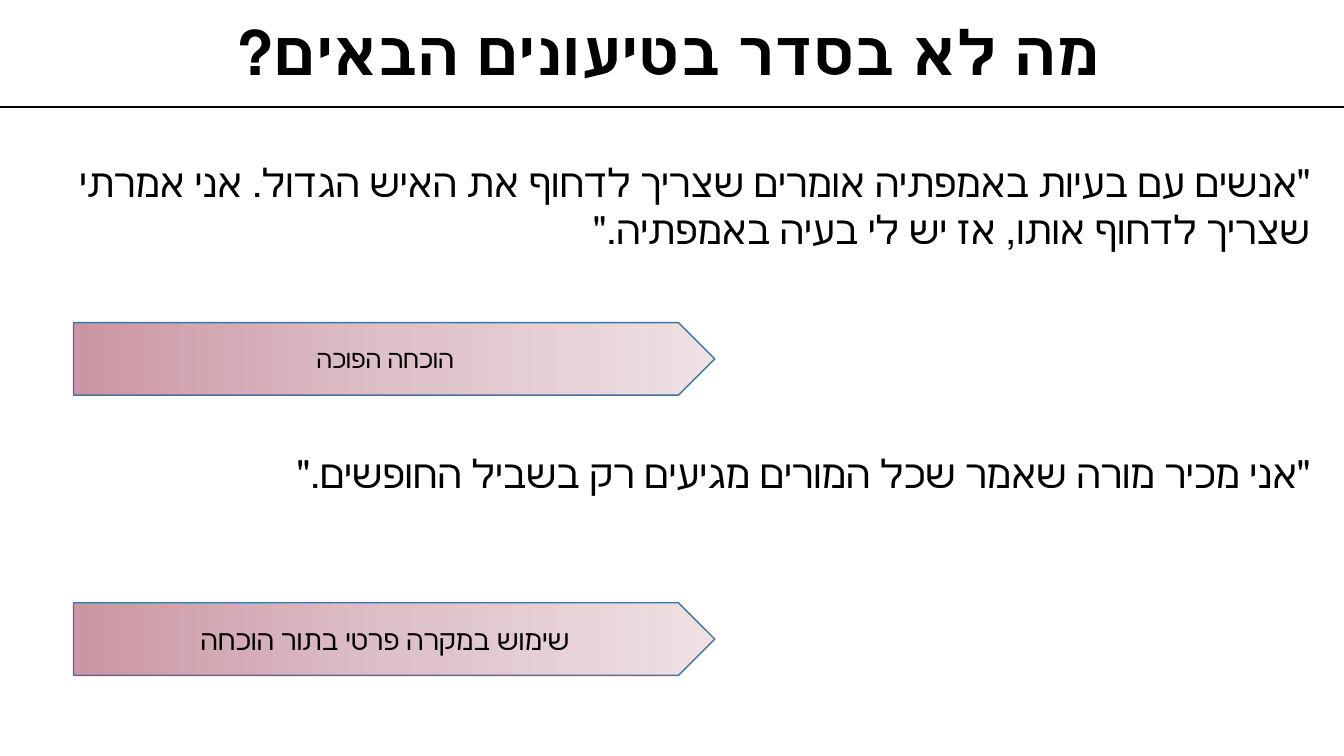
from copy import deepcopy

from lxml import etree
from pptx import Presentation
from pptx.dml.color import RGBColor
from pptx.enum.shapes import MSO_CONNECTOR, MSO_SHAPE
from pptx.enum.text import MSO_ANCHOR, PP_ALIGN
from pptx.oxml.ns import qn
from pptx.util import Inches, Pt

FONT = "Lato"
BLACK = "000000"
OUTLINE = "43739E"
FALLACY_GRADIENT = ("CB96A4", "DDC0C8", "EEE1E4")

TITLE = "מה לא בסדר בטיעונים הבאים?"
CLAIMS = [
    '"אנשים עם בעיות באמפתיה אומרים שצריך לדחוף את האיש הגדול. '
    'אני אמרתי שצריך לדחוף אותו, אז יש לי בעיה באמפתיה."',
    '"אני מכיר מורה שאמר שכל המורים מגיעים רק בשביל החופשים."',
]
CLAIM_GAP = 140.8
# name of the fallacy, top of its arrow, text size
FALLACIES = [
    ("הוכחה הפוכה", 3.2, 18),
    ("שימוש במקרה פרטי בתור הוכחה", 5.98, 20),
]


def color(hex_code):
    return RGBColor.from_string(hex_code)


def write(paragraph, wording, size, align, bold=False, rtl=False):
    paragraph.alignment = align
    if rtl:
        paragraph._p.get_or_add_pPr().set("rtl", "1")
    run = paragraph.add_run()
    run.text = wording
    run.font.name = FONT
    run.font.size = Pt(size)
    run.font.bold = bold
    run.font.color.rgb = color(BLACK)


def add_text_frame(slide, left, top, width, height, anchor):
    box = slide.shapes.add_textbox(
        Inches(left), Inches(top), Inches(width), Inches(height))
    frame = box.text_frame
    frame.word_wrap = True
    frame.vertical_anchor = anchor
    return frame


def add_title(slide):
    frame = add_text_frame(slide, 0, 0.04, 13.26, 1.02, MSO_ANCHOR.MIDDLE)
    heading = frame.paragraphs[0]
    heading.line_spacing = 0.9
    write(heading, TITLE, 44, PP_ALIGN.CENTER, bold=True, rtl=True)


def add_rule(slide):
    """Draw the line under the title, across the whole slide."""
    y = Inches(1.06)
    rule = slide.shapes.add_connector(
        MSO_CONNECTOR.STRAIGHT, Inches(-0.05), y, Inches(13.38), y)
    rule.line.color.rgb = color(BLACK)
    rule.line.width = Pt(1)
    etree.SubElement(rule._element.spPr, qn("a:effectLst"))


def add_claims(slide):
    frame = add_text_frame(slide, 0.17, 1.52, 12.92, 5.4, MSO_ANCHOR.TOP)
    for index, claim in enumerate(CLAIMS):
        paragraph = frame.add_paragraph() if index else frame.paragraphs[0]
        paragraph.space_before = Pt(CLAIM_GAP if index else 0)
        write(paragraph, claim, 28, PP_ALIGN.RIGHT, rtl=True)


def fill_gradient(fill, shades):
    """Fill from left to right with three evenly spaced shades."""
    fill.gradient()
    fill.gradient_angle = 0
    first = fill.gradient_stops[0]._gs
    middle = deepcopy(first)
    middle.set("pos", "50000")
    first.addnext(middle)
    for stop, shade in zip(fill.gradient_stops, shades):
        stop.color.rgb = color(shade)


def add_fallacy(slide, fallacy, top, size):
    arrow = slide.shapes.add_shape(
        MSO_SHAPE.PENTAGON, Inches(0.73), Inches(top), Inches(6.36), Inches(0.72))
    arrow.shadow.inherit = False
    fill_gradient(arrow.fill, FALLACY_GRADIENT)
    arrow.line.color.rgb = color(OUTLINE)
    arrow.line.width = Pt(1)
    arrow.text_frame.vertical_anchor = MSO_ANCHOR.MIDDLE
    write(arrow.text_frame.paragraphs[0], fallacy, size, PP_ALIGN.CENTER)


def main():
    deck = Presentation()
    deck.slide_width, deck.slide_height = Inches(13.33), Inches(7.5)
    slide = deck.slides.add_slide(deck.slide_layouts[6])
    add_rule(slide)
    add_title(slide)
    add_claims(slide)
    for fallacy, top, size in FALLACIES:
        add_fallacy(slide, fallacy, top, size)
    deck.save("out.pptx")


if __name__ == "__main__":
    main()
